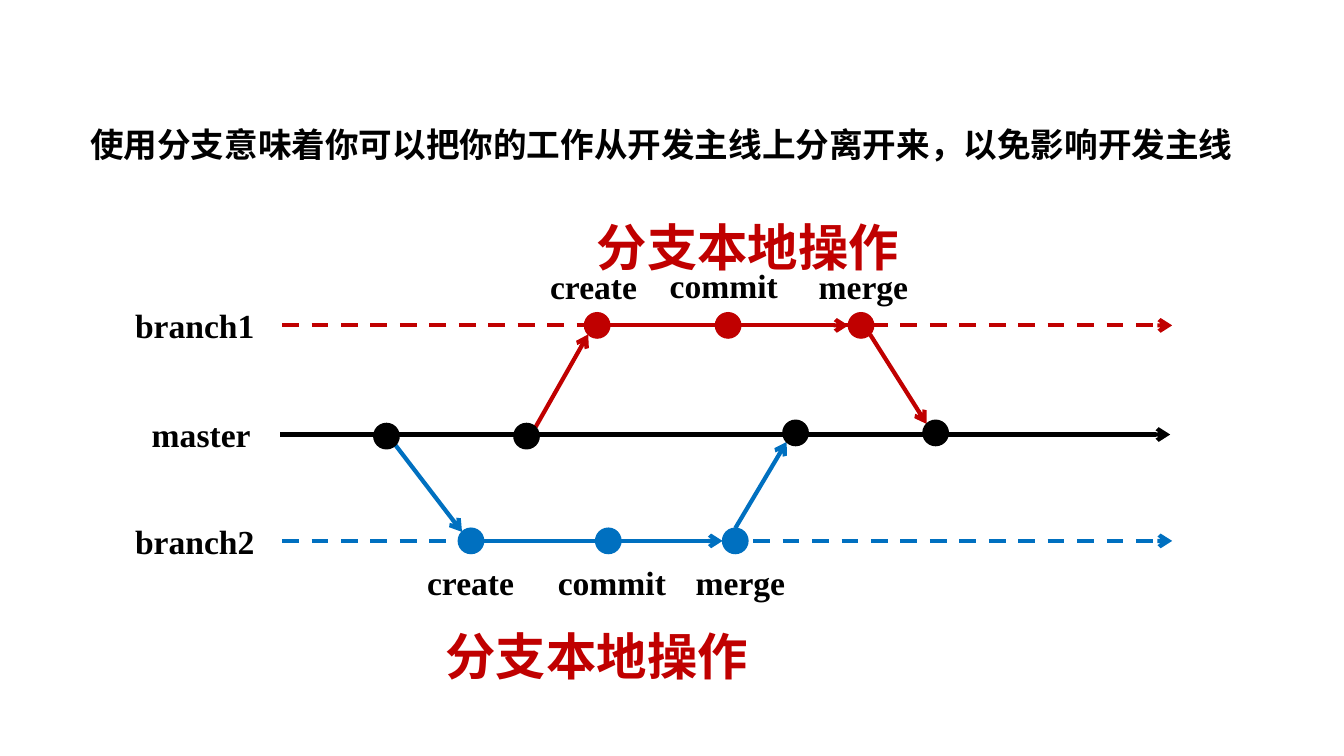
from dataclasses import dataclass
from math import sqrt

from lxml.etree import SubElement
from pptx import Presentation
from pptx.dml.color import RGBColor
from pptx.enum.dml import MSO_LINE_DASH_STYLE as Dash
from pptx.enum.shapes import MSO_CONNECTOR_TYPE as Connector
from pptx.enum.shapes import MSO_SHAPE as Shape
from pptx.enum.text import MSO_ANCHOR as Anchor
from pptx.enum.text import MSO_AUTO_SIZE as AutoSize
from pptx.enum.text import PP_ALIGN as Align
from pptx.oxml.ns import qn
from pptx.util import Cm, Pt

BLACK = RGBColor(0x00, 0x00, 0x00)
RED = RGBColor(0xC0, 0x00, 0x00)
BLUE = RGBColor(0x00, 0x70, 0xC0)
LATIN_FONT = "Times New Roman"
CJK_FONT = "Noto Sans CJK SC"
RADIUS = 0.32
DIAGONAL = RADIUS / sqrt(2)


@dataclass(frozen=True)
class Commit:
    """A dot on the graph, centred at x, y (cm)."""
    x: float
    y: float
    color: RGBColor

    def edge(self, across: int, down: int) -> tuple[float, float]:
        """Point of the rim in a direction given by -1, 0 or 1 on each axis."""
        reach = DIAGONAL if across and down else RADIUS
        return self.x + across * reach, self.y + down * reach


@dataclass(frozen=True)
class Arrow:
    start: tuple[float, float]
    end: tuple[float, float]
    color: RGBColor
    dashed: bool = False


@dataclass(frozen=True)
class Label:
    """Text centred at x, y (cm)."""
    text: str
    x: float
    y: float
    width: float
    height: float = 1.27
    size: int = 24
    color: RGBColor = BLACK


def style_paragraph(paragraph, size: int, color: RGBColor, latin: str) -> None:
    paragraph.alignment = Align.CENTER
    font = paragraph.font
    font.name, font.size, font.bold = latin, Pt(size), True
    font.color.rgb = color
    defaults = paragraph._p.pPr.find(qn("a:defRPr"))
    SubElement(defaults, qn("a:ea"), typeface=CJK_FONT)


def draw_arrow(slide, arrow: Arrow) -> None:
    connector = slide.shapes.add_connector(
        Connector.STRAIGHT, *(Cm(value) for value in arrow.start + arrow.end))
    connector.line.color.rgb = arrow.color
    connector.line.width = Pt(3)
    if arrow.dashed:
        connector.line.dash_style = Dash.DASH
    properties = connector._element.spPr
    SubElement(properties.find(qn("a:ln")), qn("a:tailEnd"), type="arrow")
    SubElement(properties, qn("a:effectLst"))


def draw_commit(slide, commit: Commit) -> None:
    dot = slide.shapes.add_shape(
        Shape.OVAL, Cm(commit.x - RADIUS), Cm(commit.y - RADIUS),
        Cm(2 * RADIUS), Cm(2 * RADIUS))
    dot.shadow.inherit = False
    dot.fill.solid()
    dot.fill.fore_color.rgb = commit.color
    dot.line.color.rgb = commit.color
    dot.line.width = Pt(1)


def draw_label(slide, label: Label) -> None:
    box = slide.shapes.add_textbox(
        Cm(label.x - label.width / 2), Cm(label.y - label.height / 2),
        Cm(label.width), Cm(label.height))
    frame = box.text_frame
    frame.word_wrap = True
    frame.auto_size = AutoSize.SHAPE_TO_FIT_TEXT
    frame.text = label.text
    style_paragraph(frame.paragraphs[0], label.size, label.color, LATIN_FONT)


def write_title(slide, text: str) -> None:
    title = slide.shapes.title
    title.left, title.top = Cm(1.5), Cm(3.12)
    title.width, title.height = Cm(30.33), Cm(1.4)
    frame = title.text_frame
    frame.word_wrap = True
    frame.auto_size = AutoSize.NONE
    frame.vertical_anchor = Anchor.TOP
    frame.text = text
    paragraph = frame.paragraphs[0]
    paragraph.line_spacing = 0.9
    paragraph.space_before = Pt(0)
    style_paragraph(paragraph, 24, BLACK, CJK_FONT)


BRANCH1_Y, MASTER_Y, BRANCH2_Y = 8.2, 10.95, 13.63

fork2, fork1 = (Commit(x, 10.99, BLACK) for x in (9.74, 13.27))
join2, join1 = (Commit(x, 10.91, BLACK) for x in (20.05, 23.58))
create1, commit1, merge1 = (Commit(x, BRANCH1_Y, RED) for x in (15.05, 18.35, 21.7))
create2, commit2, merge2 = (Commit(x, BRANCH2_Y, BLUE) for x in (11.87, 15.33, 18.53))
COMMITS = [fork2, fork1, join2, join1, create1, commit1, merge1,
           create2, commit2, merge2]

ARROWS = [
    Arrow((7.06, MASTER_Y), (29.49, MASTER_Y), BLACK),
    Arrow((7.11, BRANCH2_Y), (29.54, BRANCH2_Y), BLUE, dashed=True),
    Arrow(fork2.edge(1, 1), create2.edge(-1, -1), BLUE),
    Arrow(create2.edge(1, 0), merge2.edge(-1, 0), BLUE),
    Arrow(merge2.edge(0, -1), join2.edge(-1, 1), BLUE),
    Arrow((7.11, BRANCH1_Y), (29.54, BRANCH1_Y), RED, dashed=True),
    Arrow(fork1.edge(1, -1), create1.edge(-1, 1), RED),
    Arrow(create1.edge(1, 0), merge1.edge(-1, 0), RED),
    Arrow(merge1.edge(1, 1), join1.edge(-1, -1), RED),
]

LABELS = [
    Label("branch1", 4.91, BRANCH1_Y, 3.63),
    Label("master", 5.07, MASTER_Y, 3.23),
    Label("branch2", 4.91, BRANCH2_Y, 3.63),
    Label("create", 14.96, 7.21, 2.95),
    Label("commit", 18.24, 7.19, 3.56),
    Label("merge", 21.76, 7.21, 6.17),
    Label("create", 11.86, 14.68, 2.95),
    Label("commit", 15.42, 14.66, 3.4),
    Label("merge", 18.66, 14.68, 6.17),
    Label("分支本地操作", 18.99 - 0.14, 6.21, 8.43, 1.8, 36, RED),
    Label("分支本地操作", 15.04, 16.52, 8.43, 1.8, 36, RED),
]


def main() -> None:
    deck = Presentation()
    deck.slide_width, deck.slide_height = Cm(33.87), Cm(19.05)
    slide = deck.slides.add_slide(deck.slide_layouts[5])
    write_title(slide, "使用分支意味着你可以把你的工作从开发主线上分离开来，以免影响开发主线")
    for arrow in ARROWS:
        draw_arrow(slide, arrow)
    for commit in COMMITS:
        draw_commit(slide, commit)
    for label in LABELS:
        draw_label(slide, label)
    deck.save("out.pptx")


if __name__ == "__main__":
    main()
